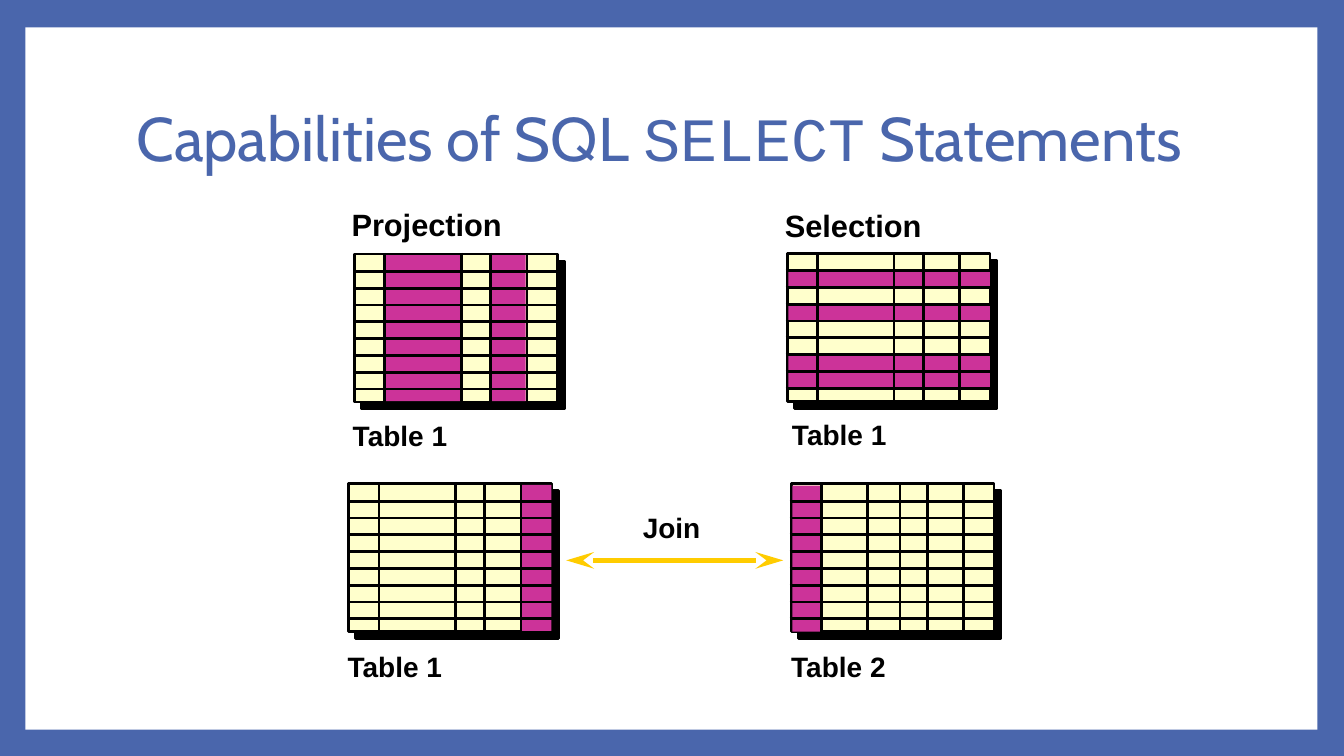
from lxml import etree
from pptx import Presentation
from pptx.dml.color import RGBColor
from pptx.enum.shapes import MSO_CONNECTOR, MSO_SHAPE
from pptx.enum.text import MSO_ANCHOR, MSO_AUTO_SIZE
from pptx.oxml import parse_xml
from pptx.oxml.ns import nsdecls, qn
from pptx.util import Cm, Pt

RECT = MSO_SHAPE.RECTANGLE
LINE = MSO_CONNECTOR.STRAIGHT
MIDDLE = MSO_ANCHOR.MIDDLE
FIT = MSO_AUTO_SIZE.SHAPE_TO_FIT_TEXT

COLORS = {
    "blue": "4A66AC",
    "white": "FFFFFF",
    "cream": "FFFFCC",
    "pink": "CC3399",
    "black": "000000",
    "gold": "FFCC00",
}
RGB = {name: RGBColor.from_string(code) for name, code in COLORS.items()}

SHADOW = (
    f'<a:effectLst {nsdecls("a")}>'
    '<a:outerShdw dist="90170" dir="2700000" algn="ctr" rotWithShape="0">'
    f'<a:srgbClr val="{COLORS["black"]}"/></a:outerShdw></a:effectLst>'
)

deck = Presentation()
deck.slide_width = Cm(33.87)
deck.slide_height = Cm(19.05)
slide = deck.slides.add_slide(deck.slide_layouts[6])
slide.background.fill.solid()
slide.background.fill.fore_color.rgb = RGB["blue"]
shapes = slide.shapes


def add_rect(left, top, width, height, color):
    rect = shapes.add_shape(RECT, Cm(left), Cm(top), Cm(width), Cm(height))
    rect.shadow.inherit = False
    rect.fill.solid()
    rect.fill.fore_color.rgb = RGB[color]
    rect.line.fill.background()
    return rect


def add_line(x1, y1, x2, y2, color, width):
    line = shapes.add_connector(LINE, Cm(x1), Cm(y1), Cm(x2), Cm(y2))
    line.line.color.rgb = RGB[color]
    line.line.width = Pt(width)
    etree.SubElement(line._element.spPr, qn("a:effectLst"))
    return line


add_rect(0.64, 0.69, 32.56, 17.7, "white")

title = shapes.add_textbox(Cm(3.18), Cm(1.7), Cm(27.43), Cm(3.76))
frame = title.text_frame
frame.word_wrap = True
frame.vertical_anchor = MIDDLE
para = frame.paragraphs[0]
para.line_spacing = 0.9
para.font.size = Pt(44)
para.font.color.rgb = RGB["blue"]
for text, font in (
    ("Capabilities of SQL ", "Cabin"),
    ("SELECT", "Courier New"),
    (" Statements", "Cabin"),
):
    run = para.add_run()
    run.text = text
    run.font.name = font

WIDE, TALL = 5.11, 3.73
ROWS = [0.44 + 0.423 * i for i in range(8)]
COLS = [0.76, 2.69, 3.43, 4.34]
COLS2 = [0.76, 1.93, 2.74, 3.43, 4.34]

tables = [
    (8.94, 6.4, COLS, [(0.79, 0.03, 1.88, 3.68), (3.45, 0.03, 0.86, 3.68)]),
    (19.84, 6.38, COLS, [
        (0.03, 0.46, 5.08, 0.38),
        (0.03, 1.3, 5.08, 0.41),
        (0.03, 2.57, 5.08, 0.86),
    ]),
    (8.79, 12.19, COLS, [(4.37, 0.03, 0.74, 3.68)]),
    (19.94, 12.19, COLS2, [(0.03, 0.05, 0.74, 3.68)]),
]
for left, top, cols, marks in tables:
    base = add_rect(left, top, WIDE, TALL, "cream")
    base.line.color.rgb = RGB["black"]
    base.line.width = Pt(2)
    props = base._element.spPr
    props.replace(props.find(qn("a:effectLst")), parse_xml(SHADOW))
    for x, y, width, height in marks:
        add_rect(left + x, top + y, width, height, "pink")
    for x in cols:
        add_line(left + x, top - 0.03, left + x, top + 3.79, "black", 2)
    for y in ROWS:
        add_line(left - 0.04, top + y, left + 5.15, top + y, "black", 2)

labels = [
    ("Projection", 8.61, 5.05, 4.34, 1.19, 22),
    ("Selection", 19.53, 5.08, 4.01, 1.19, 22),
    ("Table 1", 8.64, 10.41, 2.92, 1.12, 20),
    ("Table 1", 19.71, 10.39, 2.92, 1.12, 20),
    ("Table 1", 8.51, 16.23, 2.92, 1.12, 20),
    ("Table 2", 19.69, 16.23, 2.92, 1.12, 20),
    ("Join", 15.95, 12.75, 1.98, 1.12, 20),
]
for text, left, top, width, height, size in labels:
    box = shapes.add_textbox(Cm(left), Cm(top), Cm(width), Cm(height))
    frame = box.text_frame
    frame.word_wrap = False
    frame.auto_size = FIT
    para = frame.paragraphs[0]
    para.text = text
    para.font.name = "Arial"
    para.font.size = Pt(size)
    para.font.bold = True
    para.font.color.rgb = RGB["black"]

join = add_line(14.27, 14.12, 19.74, 14.12, "gold", 4)
edge = join.line._get_or_add_ln()
for end in ("a:headEnd", "a:tailEnd"):
    etree.SubElement(edge, qn(end), type="stealth", w="med", len="lg")

deck.save("out.pptx")
